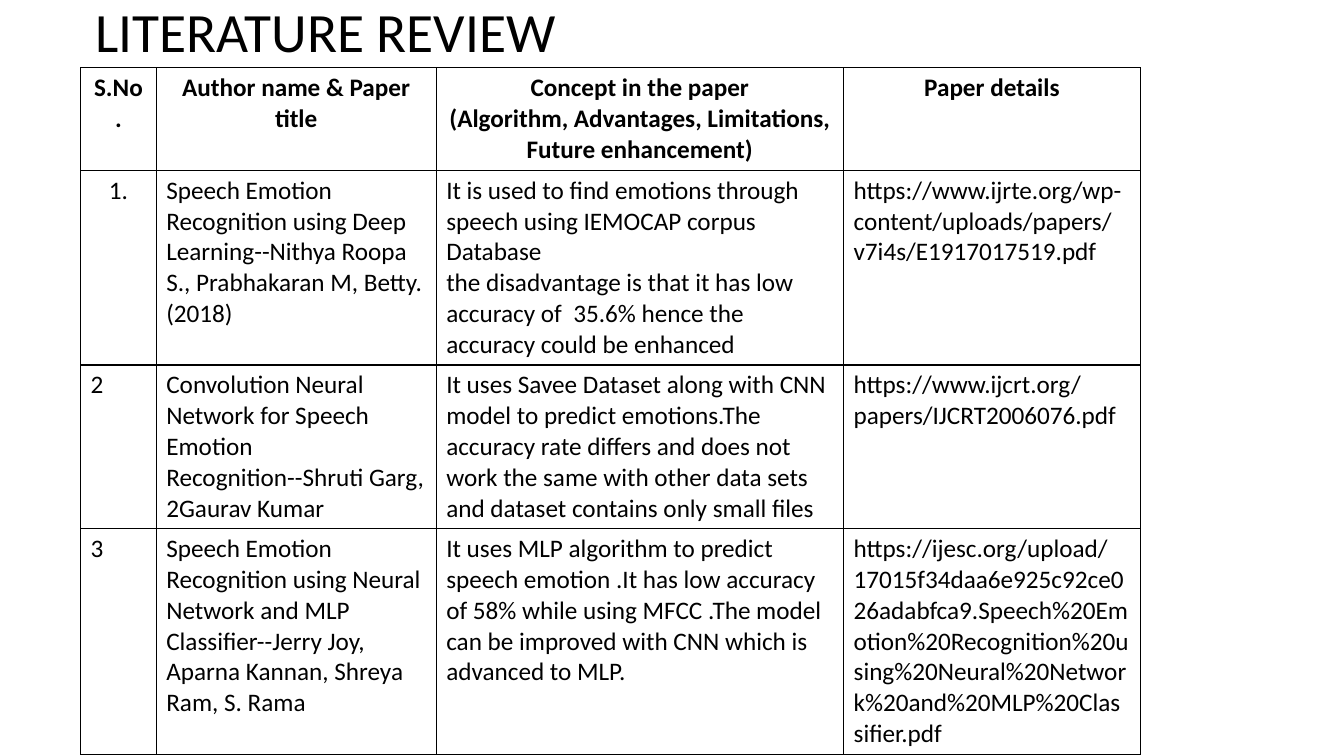
from lxml.etree import SubElement
from pptx import Presentation
from pptx.dml.color import RGBColor
from pptx.enum.text import MSO_ANCHOR, MSO_AUTO_SIZE, PP_ALIGN
from pptx.oxml.ns import qn
from pptx.util import Pt

FONT = "Calibri"
COLORS = {"ink": "000000", "paper": "FFFFFF"}

COLUMN_WIDTHS = [54, 200, 291, 212]
ROW_HEIGHTS = [73, 137, 115, 159]

# One tuple per table row; a line break starts a new paragraph
PAPERS = [
    ("S.No.",
     "Author name & Paper title",
     "Concept in the paper\n(Algorithm, Advantages, Limitations, Future enhancement)",
     "Paper details"),
    ("1.",
     "Speech Emotion Recognition using Deep Learning--Nithya Roopa S., "
     "Prabhakaran M, Betty.\n(2018)",
     "It is used to find emotions through speech using IEMOCAP corpus Database\n"
     "the disadvantage is that it has low accuracy of  35.6% hence the accuracy "
     "could be enhanced",
     "https://www.ijrte.org/wp-content/uploads/papers/v7i4s/E1917017519.pdf"),
    ("2",
     "Convolution Neural Network for Speech Emotion\n"
     "Recognition--Shruti Garg, 2Gaurav Kumar",
     "It uses Savee Dataset along with CNN model to predict emotions.The accuracy "
     "rate differs and does not work the same with other data sets and dataset "
     "contains only small files",
     "https://www.ijcrt.org/papers/IJCRT2006076.pdf"),
    ("3",
     "Speech Emotion Recognition using Neural Network and MLP\n"
     "Classifier--Jerry Joy, Aparna Kannan, Shreya Ram, S. Rama",
     "It uses MLP algorithm to predict speech emotion .It has low accuracy of 58% "
     "while using MFCC .The model can be improved with CNN which is advanced to MLP.",
     "https://ijesc.org/upload/17015f34daa6e925c92ce026adabfca9.Speech%20Emotion"
     "%20Recognition%20using%20Neural%20Network%20and%20MLP%20Classifier.pdf"),
]


def color(name):
    return RGBColor.from_string(COLORS[name])


def format_text(frame, size, bold=False, align=PP_ALIGN.LEFT):
    for para in frame.paragraphs:
        para.alignment = align
        for span in para.runs:
            span.font.name = FONT
            span.font.size = Pt(size)
            span.font.bold = bold
            span.font.color.rgb = color("ink")


def set_title(page, text):
    title = page.shapes.title
    title.left, title.top, title.width, title.height = Pt(61), Pt(8), Pt(791), Pt(34)
    frame = title.text_frame
    frame.text = text
    frame.word_wrap = True
    frame.auto_size = MSO_AUTO_SIZE.NONE
    frame.vertical_anchor = MSO_ANCHOR.MIDDLE
    format_text(frame, 39.6)
    frame.paragraphs[0].line_spacing = 0.9


def add_borders(cell):
    properties = cell._tc.get_or_add_tcPr()
    for position, side in enumerate(("a:lnL", "a:lnR", "a:lnT", "a:lnB")):
        line = SubElement(properties, qn(side), w=str(Pt(1)))
        fill = SubElement(line, qn("a:solidFill"))
        SubElement(fill, qn("a:srgbClr"), val=COLORS["ink"])
        properties.insert(position, line)  # borders come before the fill


def fill_cell(cell, text, header, centered):
    cell.text_frame.text = text
    format_text(cell.text_frame, 18, header,
                PP_ALIGN.CENTER if centered else PP_ALIGN.LEFT)
    cell.fill.solid()
    cell.fill.fore_color.rgb = color("paper")
    add_borders(cell)


def add_review_table(page):
    table = page.shapes.add_table(
        len(PAPERS), len(COLUMN_WIDTHS), Pt(57.6), Pt(48.5),
        Pt(sum(COLUMN_WIDTHS)), Pt(sum(ROW_HEIGHTS))).table
    table.first_row = table.horz_banding = False
    for column, width in zip(table.columns, COLUMN_WIDTHS):
        column.width = Pt(width)
    for row, height, texts in zip(table.rows, ROW_HEIGHTS, PAPERS):
        row.height = Pt(height)
        header = texts is PAPERS[0]
        for cell, text in zip(row.cells, texts):
            fill_cell(cell, text, header, header or text == "1.")


def main():
    deck = Presentation()
    deck.slide_width, deck.slide_height = Pt(960), Pt(540)
    page = deck.slides.add_slide(deck.slide_layouts.get_by_name("Title Only"))

    # Heading
    set_title(page, "LITERATURE REVIEW")

    # Reviewed papers
    add_review_table(page)

    deck.save("out.pptx")


if __name__ == "__main__":
    main()
